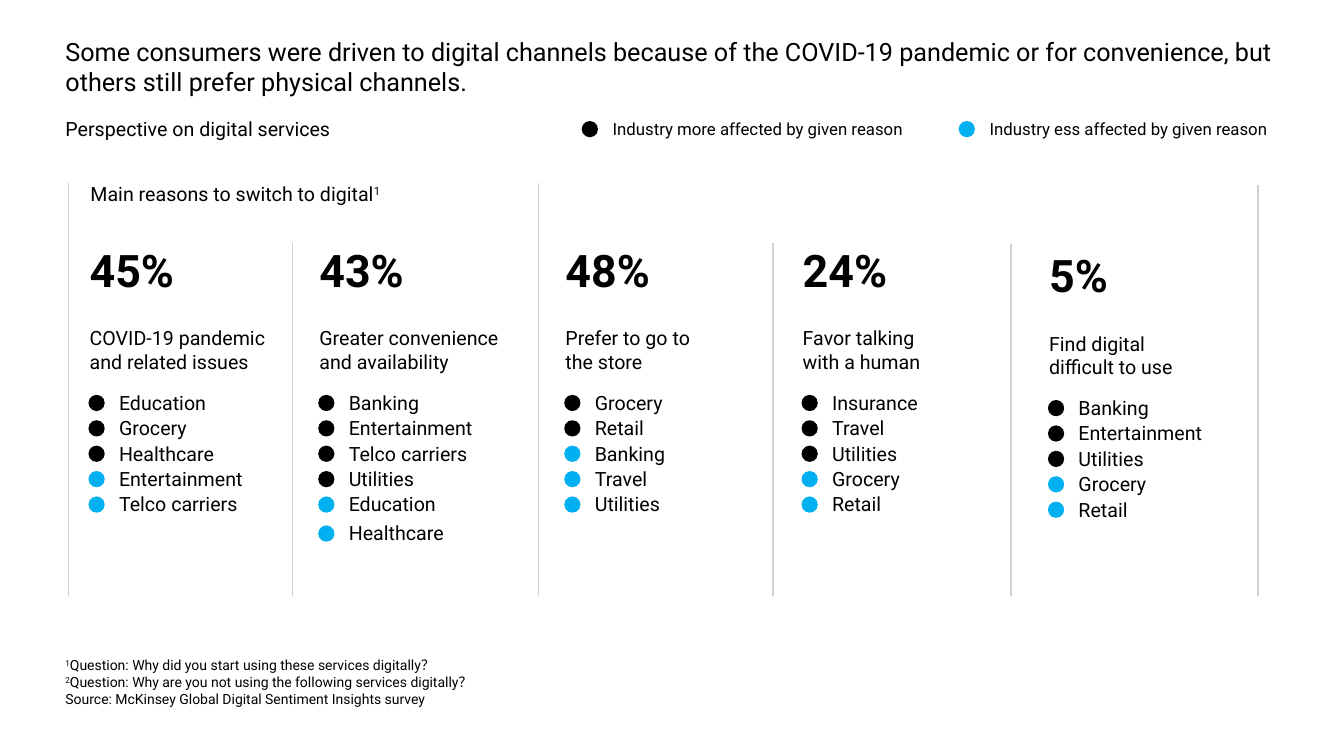
from lxml.etree import SubElement
from pptx import Presentation
from pptx.dml.color import RGBColor
from pptx.enum.shapes import MSO_CONNECTOR, MSO_SHAPE
from pptx.oxml.ns import qn
from pptx.util import Cm, Pt

BLACK = RGBColor(0x00, 0x00, 0x00)
BLUE = RGBColor(0x00, 0xB0, 0xF0)
GRAY = RGBColor(0xD1, 0xD1, 0xD1)
DOT = 0.41
ROW = 0.64

prs = Presentation()
prs.slide_width, prs.slide_height = Cm(33.87), Cm(19.05)
s = prs.slides.add_slide(prs.slide_layouts[6])


def add_text(text, x, y, w, h, size=14, bold=False):
    """Add one paragraph per line; "|" separates runs, and a run of digits is superscript."""
    tf = s.shapes.add_textbox(Cm(x), Cm(y), Cm(w), Cm(h)).text_frame
    tf.word_wrap = True
    for i, line in enumerate(text.split("\n")):
        p = tf.add_paragraph() if i else tf.paragraphs[0]
        for part in line.split("|"):
            r = p.add_run()
            r.text = part
            r.font.name = "Roboto"
            r.font.size = Pt(size)
            r.font.bold = bold
            r.font.color.rgb = BLACK
            if part.isdigit():
                r._r.get_or_add_rPr().set("baseline", "30000")


def add_dot(x, y, color):
    sp = s.shapes.add_shape(MSO_SHAPE.OVAL, Cm(x), Cm(y), Cm(DOT), Cm(DOT))
    sp.shadow.inherit = False
    sp.fill.solid()
    sp.fill.fore_color.rgb = color
    sp.line.fill.background()


# Heading and legend
add_text("Some consumers were driven to digital channels because of the COVID-19 pandemic "
         "or for convenience, but others still prefer physical channels.",
         1.4, 0.79, 31.27, 1.8, size=18)
add_text("Perspective on digital services", 1.4, 2.82, 7.37, 0.86)
legend = [
    (14.66, BLACK, "Industry more affected by given reason"),
    (24.16, BLUE, "Industry ess affected by given reason"),
]
for x, color, label in legend:
    add_dot(x, 3.05, color)
    add_text(label, x + 0.53, 2.87, 8.2, 0.76, size=12)
add_text("Main reasons to switch to digital|1", 2.03, 4.45, 8.18, 0.86)

# Vertical dividers: x, top
for x, top in [(1.73, 4.62), (7.37, 6.13), (13.57, 4.62), (19.48, 6.13),
               (25.48, 6.15), (31.7, 4.65)]:
    line = s.shapes.add_connector(MSO_CONNECTOR.STRAIGHT, Cm(x), Cm(top), Cm(x), Cm(15.03))
    line.line.color.rgb = GRAY
    line.line.width = Pt(1)
    SubElement(line._element.spPr, qn("a:effectLst"))

# Columns: left, top, share, reason, more affected, less affected
columns = [
    (2.01, 5.99, "45%", "COVID-19 pandemic\nand related issues",
     ["Education", "Grocery", "Healthcare"], ["Entertainment", "Telco carriers"]),
    (7.8, 5.99, "43%", "Greater convenience\nand availability",
     ["Banking", "Entertainment", "Telco carriers", "Utilities"], ["Education", "Healthcare"]),
    (14.0, 5.99, "48%", "Prefer to go to\nthe store",
     ["Grocery", "Retail"], ["Banking", "Travel", "Utilities"]),
    (19.98, 5.99, "24%", "Favor talking\nwith a human",
     ["Insurance", "Travel", "Utilities"], ["Grocery", "Retail"]),
    (26.19, 6.12, "5%", "Find digital\ndifficult to use",
     ["Banking", "Entertainment", "Utilities"], ["Grocery", "Retail"]),
]
for x, top, share, reason, more, less in columns:
    add_text(share, x, top, 2.87, 1.63, size=32, bold=True)
    add_text(reason, x, top + 2.11, 5.21, 1.45)
    for i, industry in enumerate(more + less):
        y = top + 3.96 + i * ROW + (0.09 if i == 5 else 0)
        add_dot(x + 0.22, y, BLACK if i < len(more) else BLUE)
        add_text(industry, x + 0.74, y - 0.23, 3.78, 0.86)

# Footnotes
add_text("1|Question: Why did you start using these services digitally？\n"
         "2|Question: Why are you not using the following services digitally？\n"
         "Source: McKinsey Global Digital Sentiment Insights survey",
         1.4, 16.43, 31.62, 1.55, size=10)

prs.save("out.pptx")
